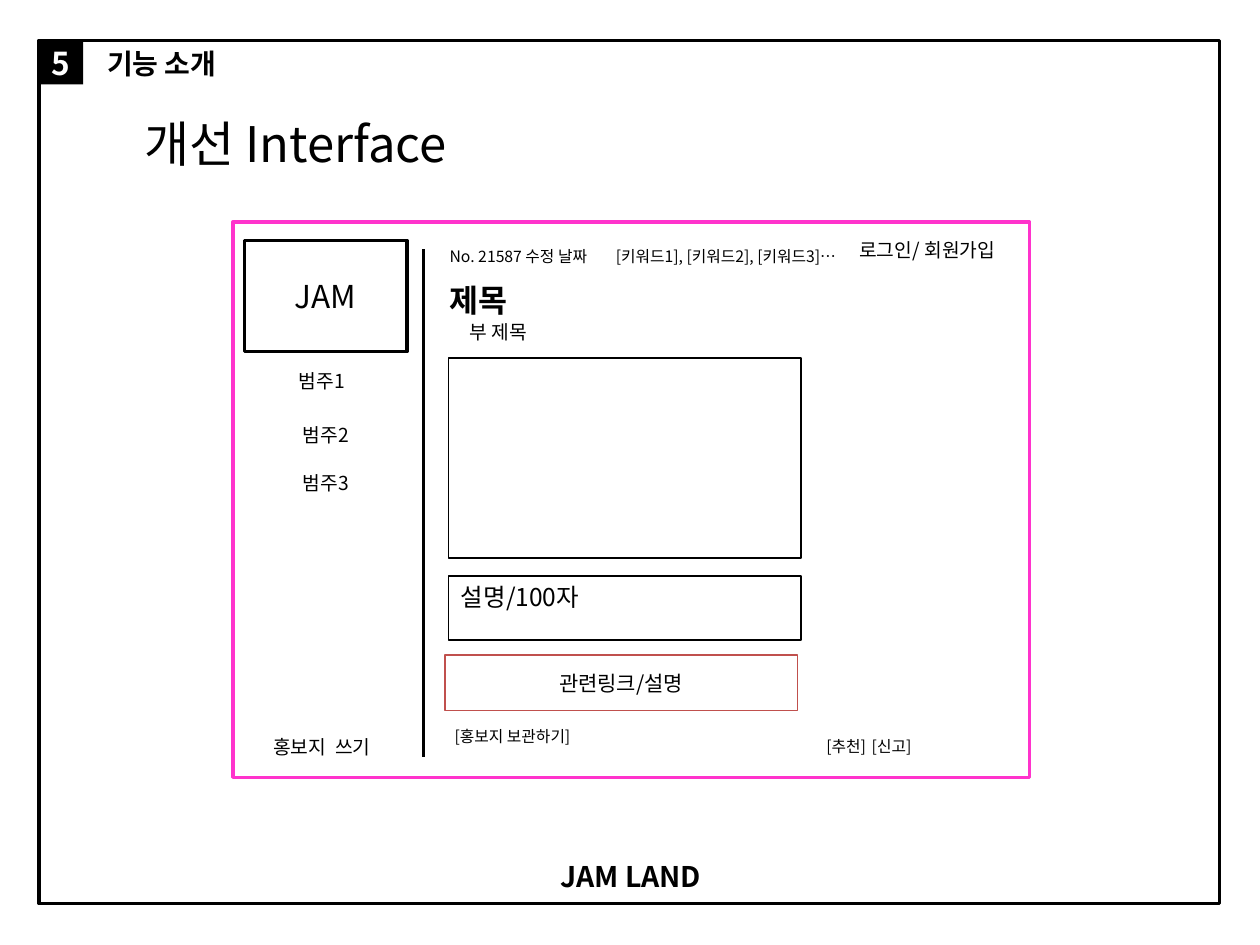
from lxml import etree
from pptx import Presentation
from pptx.dml.color import RGBColor
from pptx.enum.shapes import MSO_CONNECTOR, MSO_SHAPE
from pptx.enum.text import MSO_ANCHOR, PP_ALIGN
from pptx.oxml.ns import qn
from pptx.util import Inches, Pt

BLACK = RGBColor(0x00, 0x00, 0x00)
WHITE = RGBColor(0xFF, 0xFF, 0xFF)
PINK = RGBColor(0xFF, 0x33, 0xCC)
RED = RGBColor(0xC0, 0x50, 0x4D)
FONT = "Noto Sans CJK KR"

prs = Presentation()
prs.slide_width, prs.slide_height = Inches(10), Inches(7.5)
slide = prs.slides.add_slide(prs.slide_layouts[6])
shapes = slide.shapes


def add_text(text, box=None, sp=None, size=11, bold=False, color=BLACK,
             centered=True, wrap=True):
    """Write text into sp, or into a new text box at box (inches)."""
    if sp is None:
        sp = shapes.add_textbox(*map(Inches, box))
    tf = sp.text_frame
    tf.word_wrap = wrap
    tf.vertical_anchor = MSO_ANCHOR.MIDDLE if centered else MSO_ANCHOR.TOP
    p = tf.paragraphs[0]
    p.alignment = PP_ALIGN.CENTER if centered else PP_ALIGN.LEFT
    r = p.add_run()
    r.text = text
    r.font.size, r.font.bold, r.font.name = Pt(size), bold, FONT
    r.font.color.rgb = color
    # East Asian glyphs take their font from a:ea
    etree.SubElement(r.font._element, qn("a:ea"), typeface=FONT)


def add_box(box, fill=WHITE, line=BLACK, width=1):
    sp = shapes.add_shape(MSO_SHAPE.RECTANGLE, *map(Inches, box))
    sp.shadow.inherit = False
    if fill is None:
        sp.fill.background()
    else:
        sp.fill.solid()
        sp.fill.fore_color.rgb = fill
    if line is None:
        sp.line.fill.background()
    else:
        sp.line.color.rgb = line
        sp.line.width = Pt(width)
    return sp


# Slide frame and headings
add_box((0.31, 0.32, 9.37, 6.85), fill=None, width=2)
add_text("JAM LAND", (4.1, 6.8, 1.81, 0.31), size=16.2, bold=True)
number = add_box((0.31, 0.32, 0.35, 0.35), fill=BLACK, line=None)
add_text("5", sp=number, size=18, bold=True, color=WHITE)
add_text("기능 소개", (0.67, 0.32, 1.23, 0.37), size=16, bold=True)
add_text("개선 Interface", (0.59, 0.82, 3.51, 0.63), size=28)

# Window with login and sidebar
add_box((1.85, 1.76, 6.32, 4.41), line=PINK, width=2)
add_text("로그인/ 회원가입", (6.58, 1.8, 1.56, 0.37))
divider = shapes.add_connector(MSO_CONNECTOR.STRAIGHT, Inches(3.36), Inches(1.98),
                               Inches(3.36), Inches(6.01))
divider.line.color.rgb = BLACK
divider.line.width = Pt(1.5)
etree.SubElement(divider._element.spPr, qn("a:effectLst"))
logo = add_box((1.94, 1.91, 1.29, 0.88), width=2)
add_text("JAM", sp=logo, size=18)
for label, left, top in [("범주1", 1.94, 2.84), ("범주2", 1.97, 3.27),
                         ("범주3", 1.97, 3.65), ("홍보지  쓰기", 1.94, 5.74)]:
    add_text(label, (left, top, 1.23, 0.37))

# Content area
add_box((3.56, 2.84, 2.8, 1.59))
add_box((3.56, 4.57, 2.8, 0.51))
add_text("설명/100자", (3.56, 4.57, 1.15, 0.34), size=14, centered=False)
links = add_box((3.53, 5.2, 2.8, 0.44), line=RED)
add_text("관련링크/설명", sp=links, size=12)
add_text("제목", (3.47, 2.18, 0.71, 0.4), size=18, bold=True, centered=False, wrap=False)
add_text("부 제목", (3.63, 2.49, 0.69, 0.29), centered=False, wrap=False)

# Small print
for label, box in [("No. 21587 수정 날짜", (3.47, 1.91, 3.06, 0.26)),
                   ("[키워드1], [키워드2], [키워드3]…", (4.79, 1.91, 2.44, 0.45)),
                   ("[홍보지 보관하기]", (3.51, 5.72, 1.34, 0.28)),
                   ("[추천]", (6.46, 5.8, 0.59, 0.28)),
                   ("[신고]", (6.82, 5.8, 0.59, 0.28))]:
    add_text(label, box, size=9, centered=False, wrap=False)

prs.save("out.pptx")
